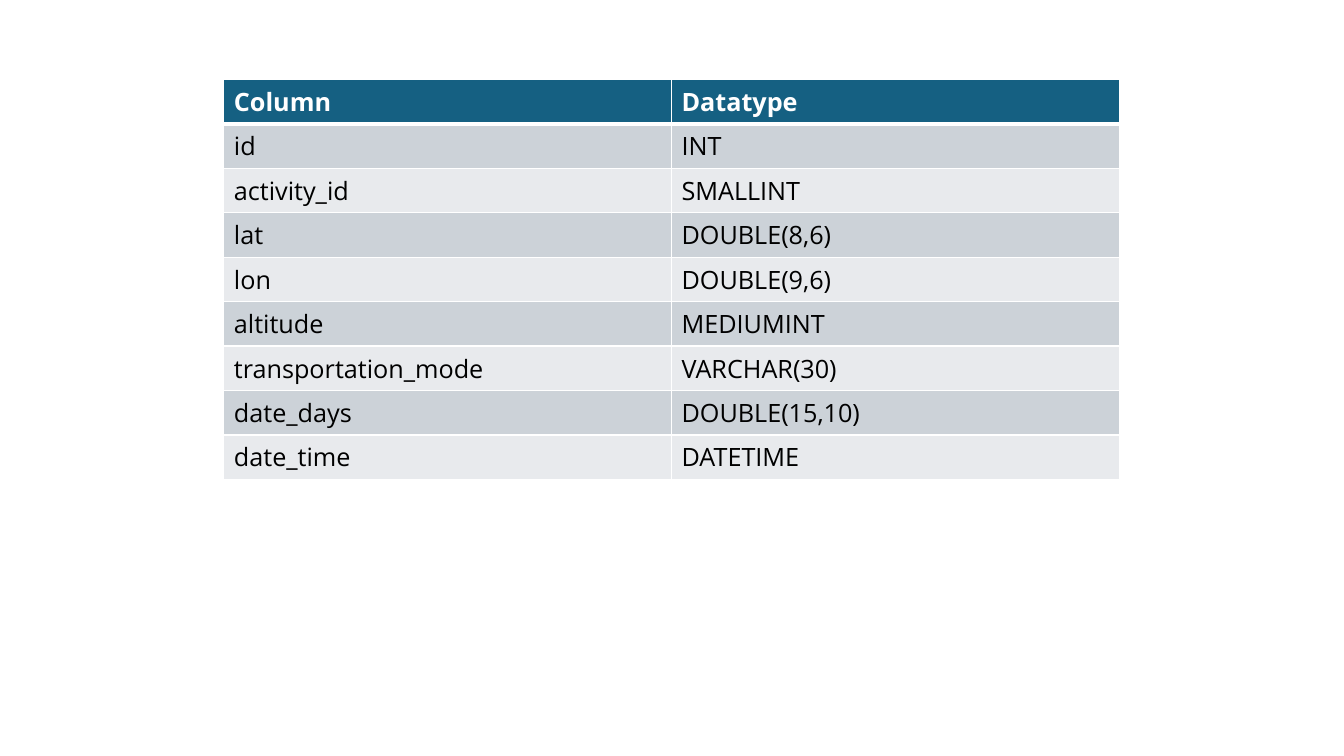
from typing import NamedTuple

from lxml import etree
from pptx import Presentation
from pptx import util as u
from pptx.dml.color import RGBColor
from pptx.enum import text
from pptx.oxml import ns

COLORS = {
    "header": "156082",
    "odd": "CCD2D8",
    "even": "E8EAED",
    "border": "FFFFFF",
    "header_text": "FFFFFF",
    "body_text": "000000",
}
FONT = "Open Sans"


class Field(NamedTuple):
    column: str
    datatype: str


HEADER = Field("Column", "Datatype")
FIELDS = [
    Field("id", "INT"),
    Field("activity_id", "SMALLINT"),
    Field("lat", "DOUBLE(8,6)"),
    Field("lon", "DOUBLE(9,6)"),
    Field("altitude", "MEDIUMINT"),
    Field("transportation_mode", "VARCHAR(30)"),
    Field("date_days", "DOUBLE(15,10)"),
    Field("date_time", "DATETIME"),
]


def write_text(tf, content: str, *, size: float = 18, color: str = "body_text",
               bold: bool = False) -> None:
    p = tf.paragraphs[0]
    p.alignment = text.PP_ALIGN.LEFT
    r = p.add_run()
    r.text = content
    r.font.name = FONT
    r.font.size = u.Pt(size)
    r.font.bold = bold
    r.font.color.rgb = RGBColor.from_string(COLORS[color])


def set_borders(cell, top: float, bottom: float) -> None:
    """Draw all four cell edges; top and bottom widths are in points."""
    tc_pr = cell._tc.get_or_add_tcPr()
    widths = {"lnL": 1, "lnR": 1, "lnT": top, "lnB": bottom}
    for i, (edge, width) in enumerate(widths.items()):
        ln = etree.Element(ns.qn(f"a:{edge}"), w=str(u.Pt(width)))
        fill = etree.SubElement(ln, ns.qn("a:solidFill"))
        etree.SubElement(fill, ns.qn("a:srgbClr"), val=COLORS["border"])
        tc_pr.insert(i, ln)


def add_schema_table(s, rows: list[Field]) -> None:
    row_height = u.Inches(0.41)
    table = s.shapes.add_table(
        len(rows), len(HEADER), u.Inches(2.22), u.Inches(0.79),
        u.Inches(8.88), row_height * len(rows)).table
    for i, field in enumerate(rows):
        table.rows[i].height = row_height
        is_header = i == 0
        fill = "header" if is_header else "odd" if i % 2 else "even"
        for j, value in enumerate(field):
            cell = table.cell(i, j)
            cell.fill.solid()
            cell.fill.fore_color.rgb = RGBColor.from_string(COLORS[fill])
            set_borders(cell, top=3 if i == 1 else 1, bottom=3 if is_header else 1)
            write_text(cell.text_frame, value, bold=is_header,
                       color="header_text" if is_header else "body_text")


def main() -> None:
    prs = Presentation()
    prs.slide_width, prs.slide_height = u.Inches(13.33), u.Inches(7.5)
    s = prs.slides.add_slide(prs.slide_layouts[6])
    add_schema_table(s, [HEADER, *FIELDS])
    prs.save("out.pptx")


if __name__ == "__main__":
    main()
